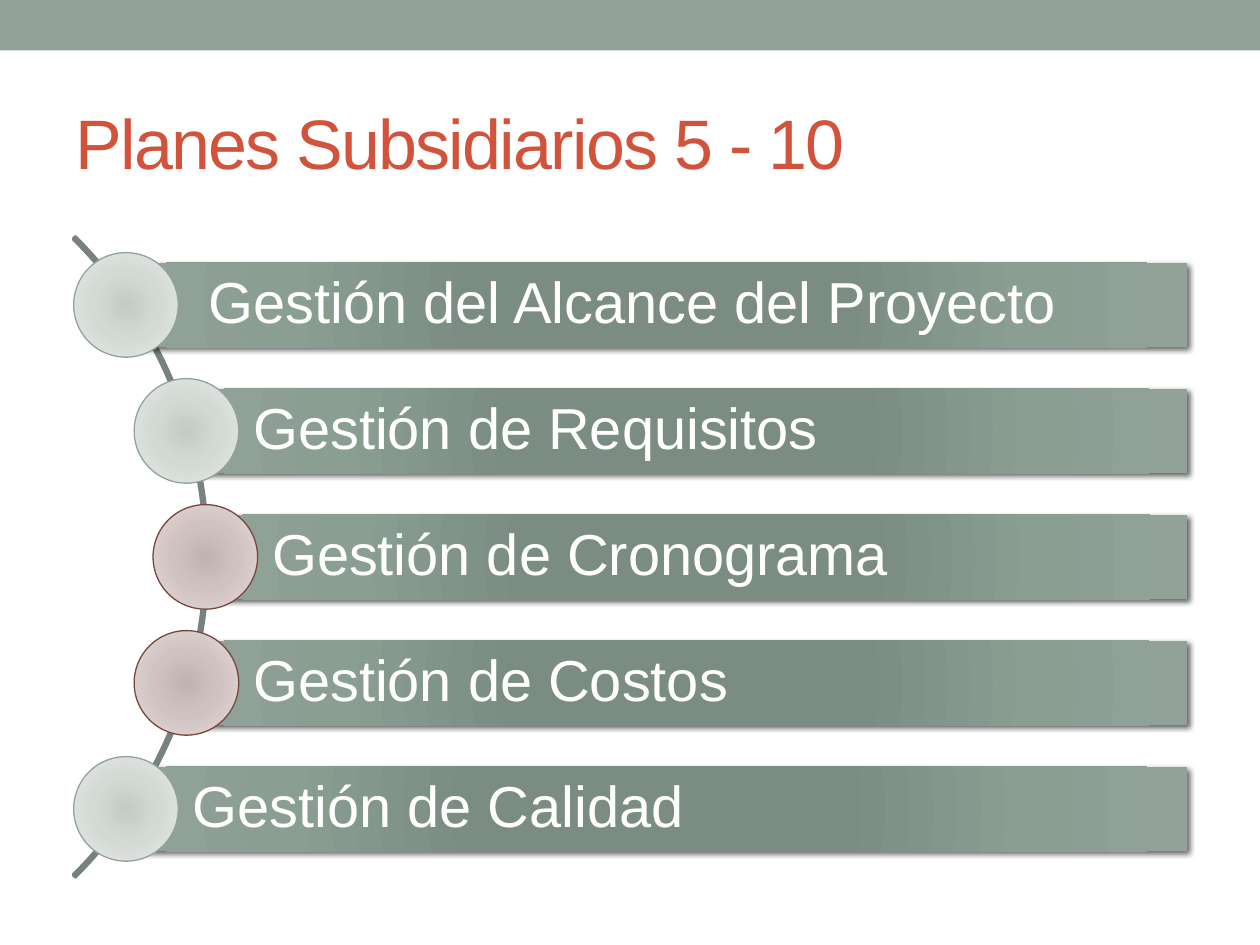
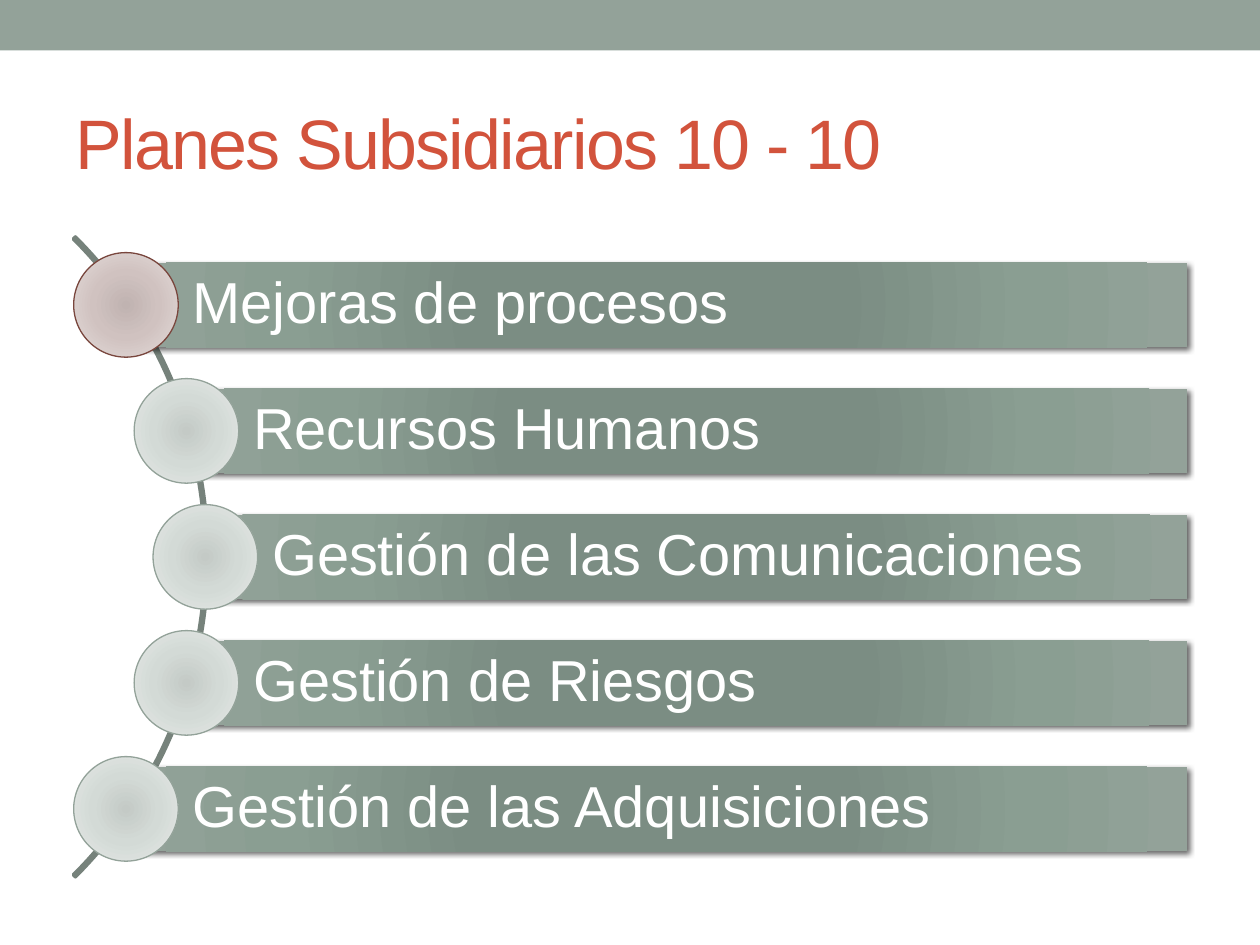
from dataclasses import dataclass
from math import sqrt

from lxml.etree import SubElement
from pptx import Presentation
from pptx.dml.color import RGBColor
from pptx.enum.shapes import MSO_SHAPE
from pptx.enum.text import MSO_ANCHOR, PP_ALIGN
from pptx.oxml.ns import qn
from pptx.util import Inches, Pt


@dataclass(frozen=True)
class Theme:
    """Colours, gradients and type sizes shared by the slides."""
    font: str = "Arial"
    title_size: int = 40
    item_size: int = 33
    title: str = "D2533C"
    sage: str = "93A299"
    brick: str = "79463D"
    arc: str = "76827B"
    item: str = "FFFFFF"
    shadow: str = "000000"
    bar_stops: tuple = ((0, "7B8E82"), (34, "7B8D83"), (70, "8A9E92"), (100, "93A299"))
    sage_stops: tuple = ((0, "C4CAC6"), (45, "D3DAD6"), (100, "E7EAE8"))
    brick_stops: tuple = ((0, "C0B3B1"), (45, "D0C2C0"), (100, "E5DEDD"))


SLIDE_WIDTH, SLIDE_HEIGHT = 10, 7.5
FIRST_ROW, ROW_STEP = 2.42, 1.0      # centre of the first row, distance between rows
BAR_HEIGHT, BAR_RIGHT = 0.67, 9.42
DOT_SIZE = 0.83
CURVE_CENTRE, CURVE_RADIUS = -1.87, 3.5  # circle on which the dots sit


class Deck:
    """Holds the theme and the current slide, and draws each kind of element."""

    def __init__(self, theme):
        """Open an empty presentation of the right size."""
        self.theme = theme
        self.presentation = Presentation()
        self.presentation.slide_width = Inches(SLIDE_WIDTH)
        self.presentation.slide_height = Inches(SLIDE_HEIGHT)
        self.slide = None

    def new_slide(self, title):
        """Start a slide with the top band and its title."""
        self.slide = self.presentation.slides.add_slide(self.presentation.slide_layouts[6])
        band = self.shape(MSO_SHAPE.RECTANGLE, 0, 0, SLIDE_WIDTH, 0.4)
        band.fill.solid()
        band.fill.fore_color.rgb = RGBColor.from_string(self.theme.sage)
        heading = self.slide.shapes.add_textbox(Inches(0.5), Inches(0.58), Inches(9), Inches(1.08))
        run = self.text(heading, title, self.theme.title_size, self.theme.title)
        run.font._element.set("spc", "-100")

    def shape(self, preset, left, top, width, height, line=None, line_width=0.75):
        """Add a preset shape without shadow, outlined only if a colour is given."""
        shape = self.slide.shapes.add_shape(
            preset, Inches(left), Inches(top), Inches(width), Inches(height))
        shape.shadow.inherit = False
        if line:
            shape.line.color.rgb = RGBColor.from_string(line)
            shape.line.width = Pt(line_width)
        else:
            shape.line.fill.background()
        return shape

    def text(self, shape, words, size, color):
        """Write one left-aligned, vertically centred run and return it."""
        frame = shape.text_frame
        frame.word_wrap = True
        frame.vertical_anchor = MSO_ANCHOR.MIDDLE
        frame.paragraphs[0].alignment = PP_ALIGN.LEFT
        run = frame.paragraphs[0].add_run()
        run.text = words
        run.font.name = self.theme.font
        run.font.size = Pt(size)
        run.font.color.rgb = RGBColor.from_string(color)
        return run

    def radial_fill(self, shape, stops):
        """Fill a shape with a circular gradient of (percent, colour) stops."""
        shape.fill.gradient()
        gradient = shape._element.spPr.find(qn("a:gradFill"))
        for child in list(gradient):
            gradient.remove(child)
        stop_list = SubElement(gradient, qn("a:gsLst"))
        for percent, color in stops:
            stop = SubElement(stop_list, qn("a:gs"), pos=str(percent * 1000))
            SubElement(stop, qn("a:srgbClr"), val=color)
        circle = SubElement(gradient, qn("a:path"), path="circle")
        SubElement(circle, qn("a:fillToRect"), {side: "100000" for side in "ltrb"})

    def drop_shadow(self, shape):
        """Give a shape a soft shadow to the lower right."""
        effects = shape._element.spPr.find(qn("a:effectLst"))
        shadow = SubElement(effects, qn("a:outerShdw"), blurRad=str(Pt(3)), dist=str(Pt(2)),
                            dir="2700000", algn="br", rotWithShape="0")
        color = SubElement(shadow, qn("a:srgbClr"), val=self.theme.shadow)
        SubElement(color, qn("a:alpha"), val="60000")

    def arc(self):
        """Draw the thin arc that links the dots."""
        arc = self.shape(MSO_SHAPE.BLOCK_ARC, -5.53, 0.83, 7.18, 7.18, self.theme.arc, 2.08)
        arc.fill.background()
        for index, value in enumerate((189, 27, 0.003)):
            arc.adjustments[index] = value

    def bar(self, left, middle, words):
        """Draw a shaded bar with its text."""
        bar = self.shape(MSO_SHAPE.RECTANGLE, left, middle - BAR_HEIGHT / 2,
                         BAR_RIGHT - left, BAR_HEIGHT)
        self.radial_fill(bar, self.theme.bar_stops)
        self.drop_shadow(bar)
        run = self.text(bar, words, self.theme.item_size, self.theme.item)
        frame = bar.text_frame
        frame.margin_left = Inches(0.53)
        frame.margin_top = frame.margin_right = frame.margin_bottom = Inches(0.09)
        frame.paragraphs[0].line_spacing = 0.9
        return run

    def dot(self, centre, middle, highlighted):
        """Draw a dot, brick-coloured when highlighted."""
        theme = self.theme
        line, stops = ((theme.brick, theme.brick_stops) if highlighted
                       else (theme.sage, theme.sage_stops))
        dot = self.shape(MSO_SHAPE.OVAL, centre - DOT_SIZE / 2, middle - DOT_SIZE / 2,
                         DOT_SIZE, DOT_SIZE, line)
        self.radial_fill(dot, stops)

    def curved_list(self, plans, highlighted):
        """Lay out the plans in rows whose starts follow the arc."""
        self.arc()
        for row, plan in enumerate(plans):
            offset = (row - (len(plans) - 1) / 2) * ROW_STEP
            start = round(CURVE_CENTRE + sqrt(CURVE_RADIUS ** 2 - offset ** 2), 2)
            middle = FIRST_ROW + row * ROW_STEP
            self.bar(start, middle, plan)
            self.dot(start, middle, row in highlighted)


# Title, plans, and the rows with a brick dot
SLIDES = (
    ("Planes Subsidiarios 5 - 10",
     (" Gestión del Alcance del Proyecto", "Gestión de Requisitos", "Gestión de Cronograma",
      "Gestión de Costos", "Gestión de Calidad"),
     {2, 3}),
    ("Planes Subsidiarios 10 - 10",
     ("Mejoras de procesos", "Recursos Humanos", "Gestión de las Comunicaciones",
      "Gestión de Riesgos", "Gestión de las Adquisiciones"),
     {0}),
)

deck = Deck(Theme())
for title, plans, highlighted in SLIDES:
    deck.new_slide(title)
    deck.curved_list(plans, highlighted)
deck.presentation.save("out.pptx")
